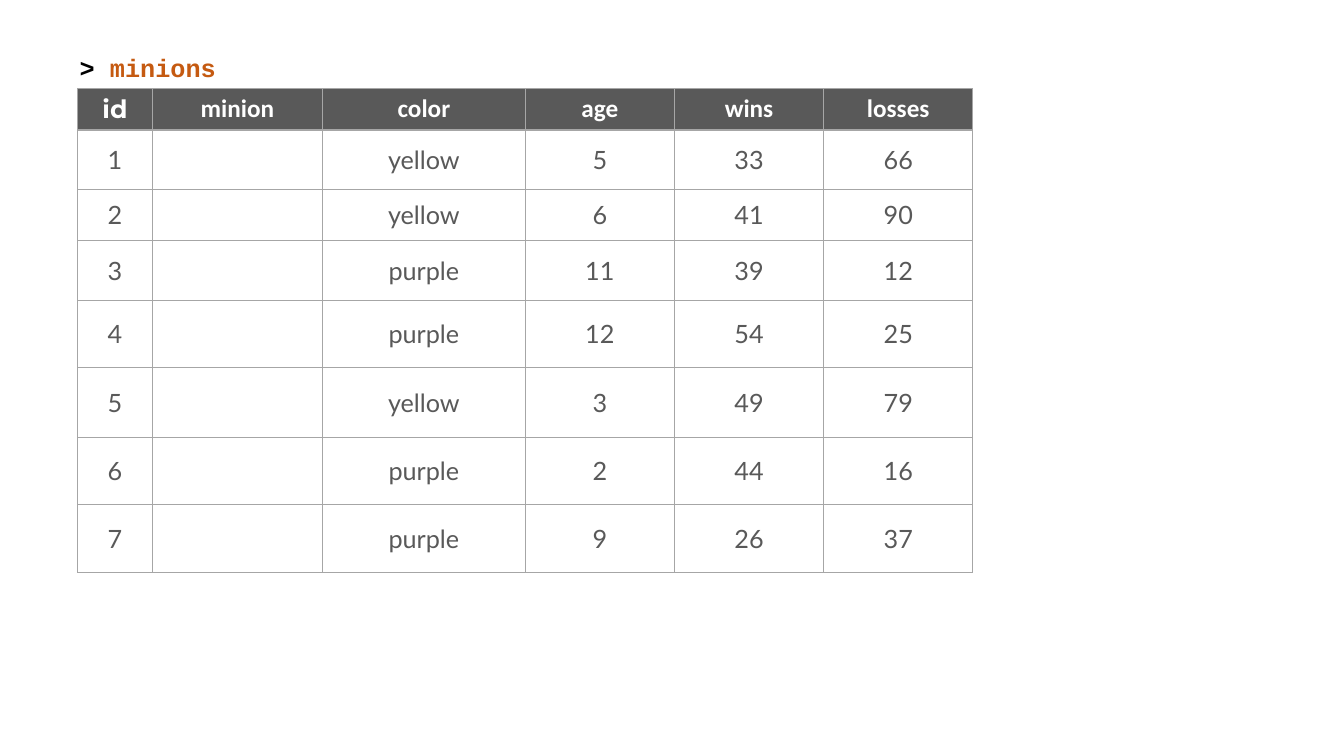
from lxml import etree
from pptx import Presentation
from pptx.dml.color import RGBColor
from pptx.enum.text import MSO_ANCHOR, MSO_AUTO_SIZE, PP_ALIGN
from pptx.oxml.ns import qn
from pptx.util import Inches, Pt

LEFT, CENTER = PP_ALIGN.LEFT, PP_ALIGN.CENTER
TOP, MIDDLE = MSO_ANCHOR.TOP, MSO_ANCHOR.MIDDLE
FIT_SHAPE = MSO_AUTO_SIZE.SHAPE_TO_FIT_TEXT
TITLE_ONLY = 5

COLORS = {
    "prompt": "000000",
    "command": "C55A11",
    "dark": "595959",
    "light": "FFFFFF",
    "border": "A6A6A6",
}

HEADERS = ["id", "minion", "color", "age", "wins", "losses"]
MINIONS = [
    (1, "", "yellow", 5, 33, 66),
    (2, "", "yellow", 6, 41, 90),
    (3, "", "purple", 11, 39, 12),
    (4, "", "purple", 12, 54, 25),
    (5, "", "yellow", 3, 49, 79),
    (6, "", "purple", 2, 44, 16),
    (7, "", "purple", 9, 26, 37),
]
COLUMN_WIDTHS = [0.74, 1.69, 2.01, 1.48, 1.48, 1.48]
ROW_HEIGHTS = [0.41, 0.59, 0.51, 0.59, 0.67, 0.69, 0.67, 0.67]


class MinionSlide:
    size = Pt(18)

    def __init__(self, deck):
        self.slide = deck.slides.add_slide(deck.slide_layouts[TITLE_ONLY])

    def run(self, paragraph, text, font, color, bold):
        run = paragraph.add_run()
        run.text = text
        run.font.name = font
        run.font.size = self.size
        run.font.bold = bold
        run.font.color.rgb = RGBColor.from_string(COLORS[color])

    def title(self, left, top, width, height, parts):
        title = self.slide.shapes.title
        title.left, title.top = Inches(left), Inches(top)
        title.width, title.height = Inches(width), Inches(height)
        frame = title.text_frame
        frame.word_wrap = False
        frame.auto_size = FIT_SHAPE
        frame.vertical_anchor = TOP
        paragraph = frame.paragraphs[0]
        paragraph.alignment = LEFT
        for text, color in parts:
            self.run(paragraph, text, "Courier New", color, True)

    def borders(self, cell):
        properties = cell._tc.get_or_add_tcPr()
        for side in ("a:lnL", "a:lnR", "a:lnT", "a:lnB"):
            line = etree.SubElement(properties, qn(side), w=str(Pt(1)))
            fill = etree.SubElement(line, qn("a:solidFill"))
            etree.SubElement(fill, qn("a:srgbClr"), val=COLORS["border"])

    def cell(self, cell, text, font, color, fill, bold, anchor):
        self.borders(cell)
        cell.fill.solid()
        cell.fill.fore_color.rgb = RGBColor.from_string(COLORS[fill])
        cell.vertical_anchor = anchor
        paragraph = cell.text_frame.paragraphs[0]
        paragraph.alignment = CENTER
        if text:
            self.run(paragraph, text, font, color, bold)

    def table(self, left, top, headers, records):
        table = self.slide.shapes.add_table(
            len(records) + 1, len(headers), Inches(left), Inches(top),
            Inches(sum(COLUMN_WIDTHS)), Inches(sum(ROW_HEIGHTS))).table
        table.horz_banding = False
        for column, width in zip(table.columns, COLUMN_WIDTHS):
            column.width = Inches(width)
        for row, height in zip(table.rows, ROW_HEIGHTS):
            row.height = Inches(height)
        for index, header in enumerate(headers):
            font = "Montserrat" if header == "id" else "Calibri"
            self.cell(table.cell(0, index), header, font, "light", "dark", True, TOP)
        for row, record in enumerate(records, start=1):
            for index, value in enumerate(record):
                self.cell(table.cell(row, index), str(value), "Lato",
                          "dark", "light", False, MIDDLE)


def main():
    deck = Presentation()
    deck.slide_width, deck.slide_height = Inches(13.33), Inches(7.5)
    page = MinionSlide(deck)
    page.title(0.69, 0.47, 1.56, 0.4, [("> ", "prompt"), ("minions", "command")])
    page.table(0.77, 0.88, HEADERS, MINIONS)
    deck.save("out.pptx")


if __name__ == "__main__":
    main()
